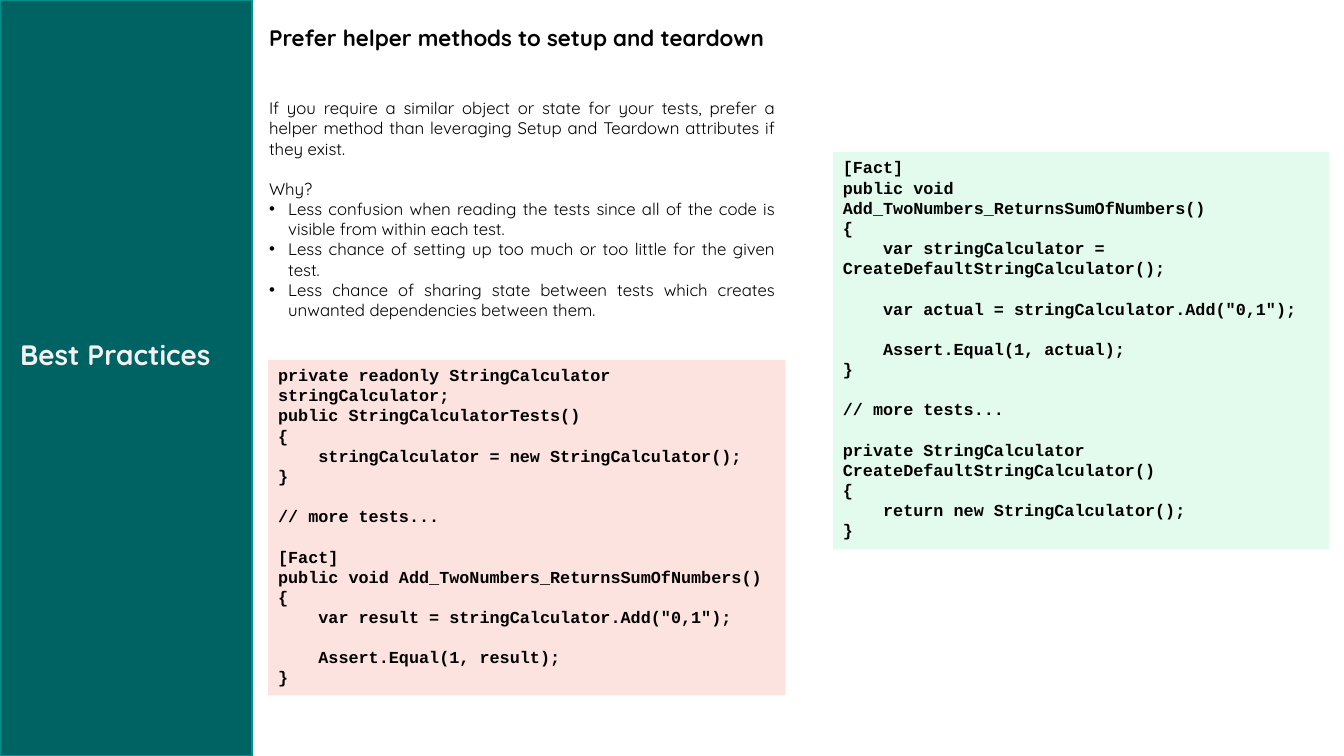
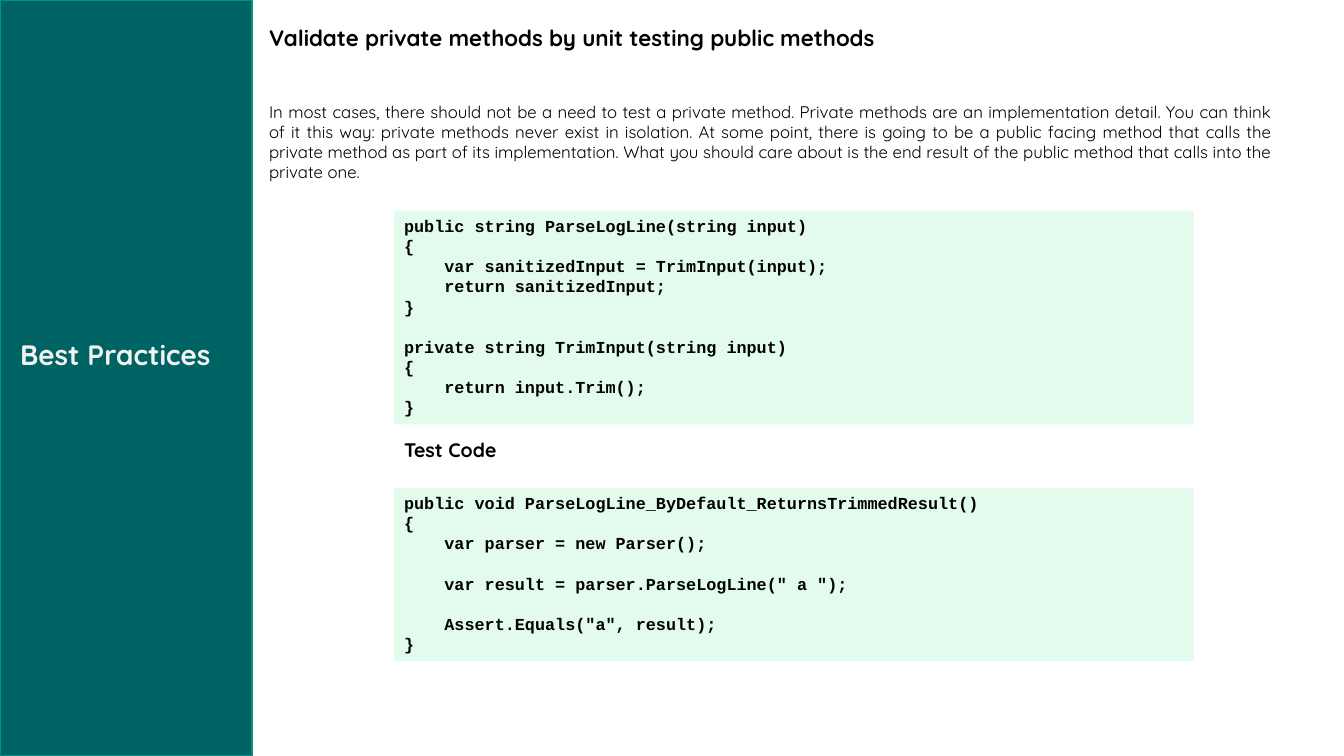
from dataclasses import dataclass

from lxml import etree
from pptx import Presentation
from pptx.dml.color import RGBColor
from pptx.enum.shapes import MSO_SHAPE
from pptx.enum.text import MSO_ANCHOR, PP_ALIGN
from pptx.oxml.ns import qn
from pptx.util import Emu, Inches, Pt

RECT = MSO_SHAPE.RECTANGLE
TOP = MSO_ANCHOR.TOP
LEFT, JUSTIFY = PP_ALIGN.LEFT, PP_ALIGN.JUSTIFY


@dataclass(frozen=True)
class Theme:
    band: str = "006363"
    edge: str = "00928A"
    label: str = "F2F2F2"
    ink: str = "000000"
    bad: str = "FCE3DF"
    good: str = "E2FBEC"
    sans: str = "Quicksand"
    mono: str = "Courier New"
    big: int = 20
    title: int = 16
    sub: int = 14
    body: int = 12
    pitch: float = 1.2
    indent: float = 0.19


T = Theme()
WIDE, HIGH = Inches(13.33), Inches(7.5)

# Content: boxes are (left, top, width, height) in percent of the slide
SECTION = "Best Practices"
BAND = (0, 0, 18.75, 100)
LABEL = (0.75, 44, 17.18, 5.87)

OLD_SETUP = """private readonly StringCalculator stringCalculator;
public StringCalculatorTests()
{
    stringCalculator = new StringCalculator();
}

// more tests...

[Fact]
public void Add_TwoNumbers_ReturnsSumOfNumbers()
{
    var result = stringCalculator.Add("0,1");

    Assert.Equal(1, result);
}"""

NEW_SETUP = """[Fact]
public void Add_TwoNumbers_ReturnsSumOfNumbers()
{
    var stringCalculator = CreateDefaultStringCalculator();

    var actual = stringCalculator.Add("0,1");

    Assert.Equal(1, actual);
}

// more tests...

private StringCalculator CreateDefaultStringCalculator()
{
    return new StringCalculator();
}"""

PARSER = """public string ParseLogLine(string input)
{
    var sanitizedInput = TrimInput(input);
    return sanitizedInput;
}

private string TrimInput(string input)
{
    return input.Trim();
}"""

PARSER_TEST = """public void ParseLogLine_ByDefault_ReturnsTrimmedResult()
{
    var parser = new Parser();

    var result = parser.ParseLogLine(" a ");

    Assert.Equals("a", result);
}"""

# Body lines are (text, points of space before, bulleted)
SLIDES = [
    {
        "title": "Prefer helper methods to setup and teardown",
        "box": (19.28, 2.53, 39.16, 40.8),
        "body": [
            ("If you require a similar object or state for your tests, prefer "
             "a helper method than leveraging Setup and Teardown attributes "
             "if they exist.", 33.6, False),
            ("Why?", 14.4, False),
            ("Less confusion when reading the tests since all of the code is "
             "visible from within each test.", 0, True),
            ("Less chance of setting up too much or too little for the given "
             "test.", 0, True),
            ("Less chance of sharing state between tests which creates "
             "unwanted dependencies between them.", 0, True),
        ],
        "code": [
            (OLD_SETUP, T.bad, (19.95, 47.6, 38.48, 44.4)),
            (NEW_SETUP, T.good, (61.97, 20.13, 36.91, 52.53)),
        ],
        "heads": [],
    },
    {
        "title": "Validate private methods by unit testing public methods",
        "box": (19.28, 2.53, 76.14, 22.4),
        "body": [
            ("In most cases, there should not be a need to test a private "
             "method. Private methods are an implementation detail. You can "
             "think of it this way: private methods never exist in isolation. "
             "At some point, there is going to be a public facing method that "
             "calls the private method as part of its implementation. What "
             "you should care about is the end result of the public method "
             "that calls into the private one.", 36, False),
        ],
        "code": [
            (PARSER, T.good, (29.33, 27.87, 59.49, 28.27)),
            (PARSER_TEST, T.good, (29.33, 64.53, 59.49, 22.93)),
        ],
        "heads": [("Test Code", (29.33, 57.2, 8.63, 4.53))],
    },
]


def place(box):
    """Turn percent shares into slide lengths."""
    sides = (WIDE, HIGH, WIDE, HIGH)
    return [Emu(int(side * part / 100)) for side, part in zip(sides, box)]


def panel(slide, box, fill, edge=None):
    """Add a flat rectangle and return its text frame."""
    shape = slide.shapes.add_shape(RECT, *place(box))
    shape.shadow.inherit = False
    shape.fill.solid()
    shape.fill.fore_color.rgb = RGBColor.from_string(fill)
    if edge:
        shape.line.color.rgb = RGBColor.from_string(edge)
        shape.line.width = Pt(1.25)
    else:
        shape.line.fill.background()
    return shape.text_frame


def frame(slide, box, wrap=True):
    """Add a text box and return its text frame."""
    area = slide.shapes.add_textbox(*place(box)).text_frame
    area.word_wrap = wrap
    return area


def write(area, text, size=T.body, font=T.sans, color=T.ink, bold=False,
          align=LEFT, gap=0, bullet=False):
    """Fill the first empty paragraph, or add one, with formatted text."""
    para = area.paragraphs[0]
    if para.runs:
        para = area.add_paragraph()
    if bullet:
        props = para._p.get_or_add_pPr()
        inset = Inches(T.indent)
        props.set("marL", str(inset))
        props.set("indent", str(-inset))
        etree.SubElement(props, qn("a:buFont")).set("typeface", "Arial")
        etree.SubElement(props, qn("a:buChar")).set("char", "•")
    para.alignment = align
    para.line_spacing = Pt(size * T.pitch)
    if gap:
        para.space_before = Pt(gap)
    run = para.add_run()
    run.text = text
    run.font.size = Pt(size)
    run.font.name = font
    run.font.bold = bold
    run.font.color.rgb = RGBColor.from_string(color)


def listing(slide, code, fill, box):
    """Add a code panel; an empty line becomes space before the next."""
    area = panel(slide, box, fill)
    area.word_wrap = True
    area.vertical_anchor = TOP
    gap = 0
    for line in code.split("\n"):
        if line:
            write(area, line, font=T.mono, bold=True, gap=gap)
            gap = 0
        else:
            gap += T.body * T.pitch


def build(deck, data):
    slide = deck.slides.add_slide(deck.slide_layouts[6])
    # Side band
    panel(slide, BAND, T.band, T.edge)
    # Title and body
    area = frame(slide, data["box"])
    write(area, data["title"], size=T.title, bold=True, align=JUSTIFY)
    for text, gap, bullet in data["body"]:
        write(area, text, align=JUSTIFY, gap=gap, bullet=bullet)
    # Code panels and their headings
    for code, fill, box in data["code"]:
        listing(slide, code, fill, box)
    for text, box in data["heads"]:
        write(frame(slide, box, wrap=False), text, size=T.sub, bold=True)
    # Section label
    write(frame(slide, LABEL), SECTION, size=T.big, color=T.label, bold=True)


def main():
    deck = Presentation()
    deck.slide_width, deck.slide_height = WIDE, HIGH
    for data in SLIDES:
        build(deck, data)
    deck.save("out.pptx")


if __name__ == "__main__":
    main()
